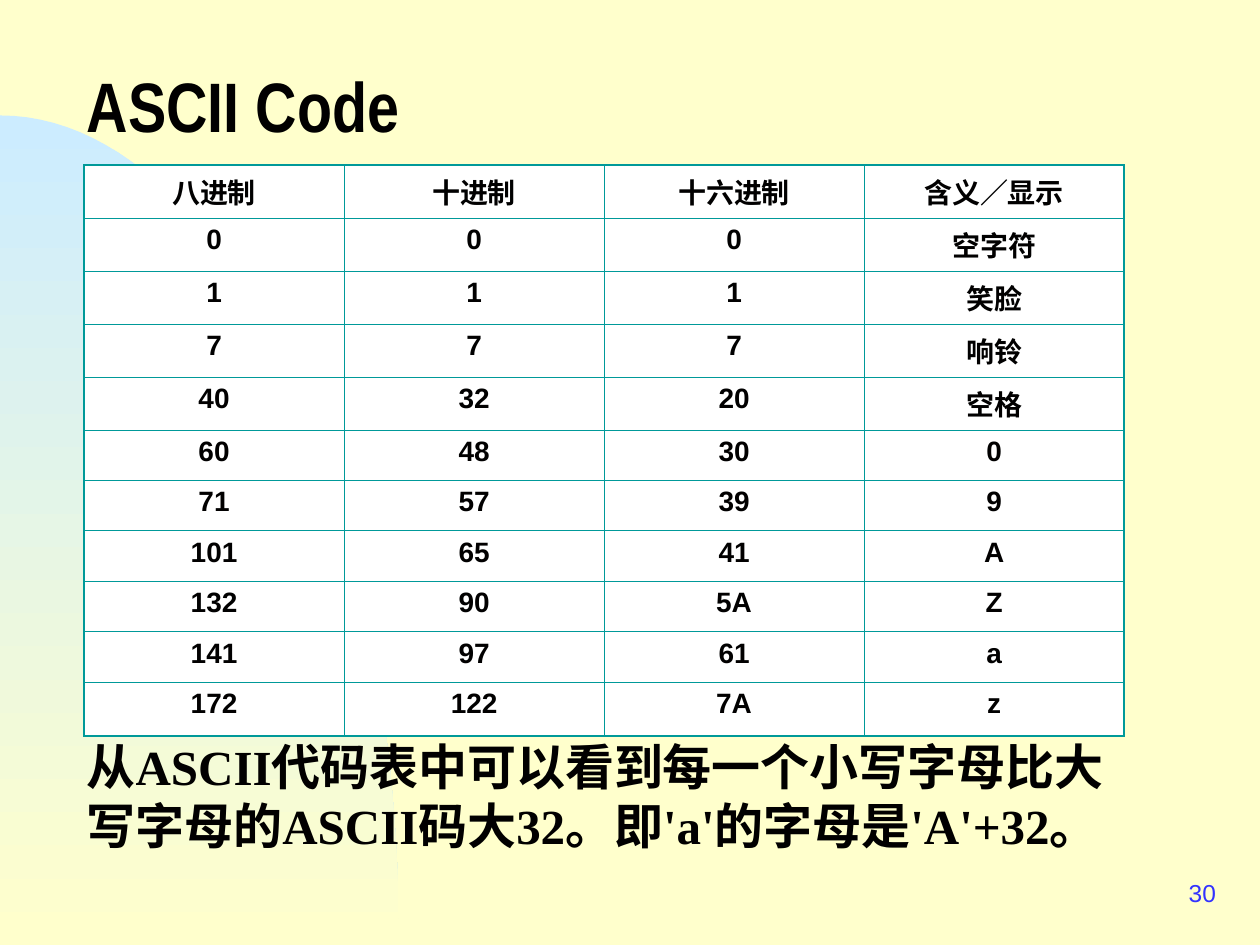
from dataclasses import dataclass

from lxml.etree import SubElement
from pptx import Presentation
from pptx.dml.color import RGBColor
from pptx.enum.text import MSO_ANCHOR, MSO_AUTO_SIZE, PP_ALIGN
from pptx.oxml.ns import qn
from pptx.util import Pt


@dataclass(frozen=True)
class Theme:
    """Colours, fonts and type sizes of the slide."""

    page: str = "FFFFCC"
    sky: str = "CCECFF"
    ink: str = "010000"
    grid: str = "009999"
    cell: str = "FFFFFF"
    mark: str = "3333FF"
    head: str = "Arial Narrow"
    sans: str = "Arial"
    serif: str = "Times New Roman"
    title: int = 40
    body: int = 28
    small: int = 16
    foot: int = 14
    thin: float = 0.45
    thick: float = 1.08


def write(frame, text, font, size, color, bold=True, align=PP_ALIGN.LEFT):
    """Put one formatted paragraph into a text frame."""
    para = frame.paragraphs[0]
    para.alignment = align
    run = para.add_run()
    run.text = text
    run.font.name = font
    run.font.size = Pt(size)
    run.font.bold = bold
    run.font.color.rgb = RGBColor.from_string(color)


def curve(ends, count=48):
    """Return points along a cubic curve given by four points."""
    points = []
    for step in range(count + 1):
        t = step / count
        parts = ((1 - t) ** 3, 3 * t * (1 - t) ** 2, 3 * t * t * (1 - t), t ** 3)
        points.append(tuple(Pt(sum(w * p[axis] for w, p in zip(parts, ends)))
                            for axis in (0, 1)))
    return points


def edge(cell, side, color, width):
    """Draw one border of a table cell."""
    line = SubElement(cell._tc.get_or_add_tcPr(), qn(f"a:ln{side}"), w=str(Pt(width)))
    fill = SubElement(line, qn("a:solidFill"))
    SubElement(fill, qn("a:srgbClr"), val=color)


class Maker:
    """Hold the theme and the current slide."""

    def __init__(self, theme, slide):
        """Set the page colour."""
        self.theme = theme
        self.slide = slide
        back = slide.background.fill
        back.solid()
        back.fore_color.rgb = RGBColor.from_string(theme.page)

    def arc(self, ends, corner):
        """Draw the shaded area below a curve."""
        first, *rest = curve(ends)
        pen = self.slide.shapes.build_freeform(*first)
        pen.add_line_segments(rest + [tuple(map(Pt, corner))], close=True)
        shape = pen.convert_to_shape()
        shape.shadow.inherit = False
        shape.line.fill.background()
        shape.fill.gradient()
        shape.fill.gradient_angle = 270
        for stop, color in zip(shape.fill.gradient_stops, (self.theme.sky, self.theme.page)):
            stop.color.rgb = RGBColor.from_string(color)

    def title(self, text, box, **form):
        """Fill the title and lift it above the arc."""
        shape = self.slide.shapes.title
        shape.left, shape.top, shape.width, shape.height = map(Pt, box)
        frame = shape.text_frame
        frame.auto_size = MSO_AUTO_SIZE.NONE
        frame.vertical_anchor = MSO_ANCHOR.MIDDLE
        write(frame, text, **form)
        shape.element.getparent().append(shape.element)

    def text(self, text, box, wrap=True, anchor=MSO_ANCHOR.TOP, **form):
        """Add a text box."""
        frame = self.slide.shapes.add_textbox(*map(Pt, box)).text_frame
        frame.word_wrap = wrap
        frame.vertical_anchor = anchor
        write(frame, text, **form)

    def table(self, rows, box, highs, **form):
        """Add a table with thin inner and thick outer lines."""
        theme = self.theme
        tall, wide = len(rows), len(rows[0])
        table = self.slide.shapes.add_table(tall, wide, *map(Pt, box)).table
        table.first_row = table.horz_banding = False
        for col in table.columns:
            col.width = Pt(box[2] / wide)
        for y, (row, high) in enumerate(zip(rows, highs)):
            table.rows[y].height = Pt(high)
            for x, text in enumerate(row):
                cell = table.cell(y, x)
                outer = {"L": x == 0, "R": x == wide - 1, "T": y == 0, "B": y == tall - 1}
                for side, rim in outer.items():
                    edge(cell, side, theme.grid, theme.thick if rim else theme.thin)
                cell.fill.solid()
                cell.fill.fore_color.rgb = RGBColor.from_string(theme.cell)
                write(cell.text_frame, text, align=PP_ALIGN.CENTER, **form)


ROWS = [
    ("八进制", "十进制", "十六进制", "含义／显示"),
    ("0", "0", "0", "空字符"),
    ("1", "1", "1", "笑脸"),
    ("7", "7", "7", "响铃"),
    ("40", "32", "20", "空格"),
    ("60", "48", "30", "0"),
    ("71", "57", "39", "9"),
    ("101", "65", "41", "A"),
    ("132", "90", "5A", "Z"),
    ("141", "97", "61", "a"),
    ("172", "122", "7A", "z"),
]
NOTE = "从ASCII代码表中可以看到每一个小写字母比大写字母的ASCII码大32。即'a'的字母是'A'+32。"


def main():
    """Build the slide and save it."""
    deck = Presentation()
    deck.slide_width, deck.slide_height = Pt(720), Pt(540)
    theme = Theme()
    maker = Maker(theme, deck.slides.add_slide(deck.slide_layouts[5]))
    maker.arc([(0, 66), (126, 66), (228, 279), (228, 540)], corner=(0, 540))
    maker.text("30", (552, 492, 150, 36), wrap=False, anchor=MSO_ANCHOR.MIDDLE,
               font=theme.sans, size=theme.foot, color=theme.mark, bold=False,
               align=PP_ALIGN.RIGHT)
    maker.title("ASCII Code", (42.5, 15, 653, 90),
                font=theme.head, size=theme.title, color=theme.ink)
    highs = [27.4] + [28.8] * (len(ROWS) - 2) + [31]
    maker.table(ROWS, (48, 94.3, 594.4, sum(highs)), highs,
                font=theme.sans, size=theme.small, color=theme.ink)
    maker.text(NOTE, (42.5, 417.5, 618, 108),
               font=theme.serif, size=theme.body, color=theme.ink)
    deck.save("out.pptx")


if __name__ == "__main__":
    main()
